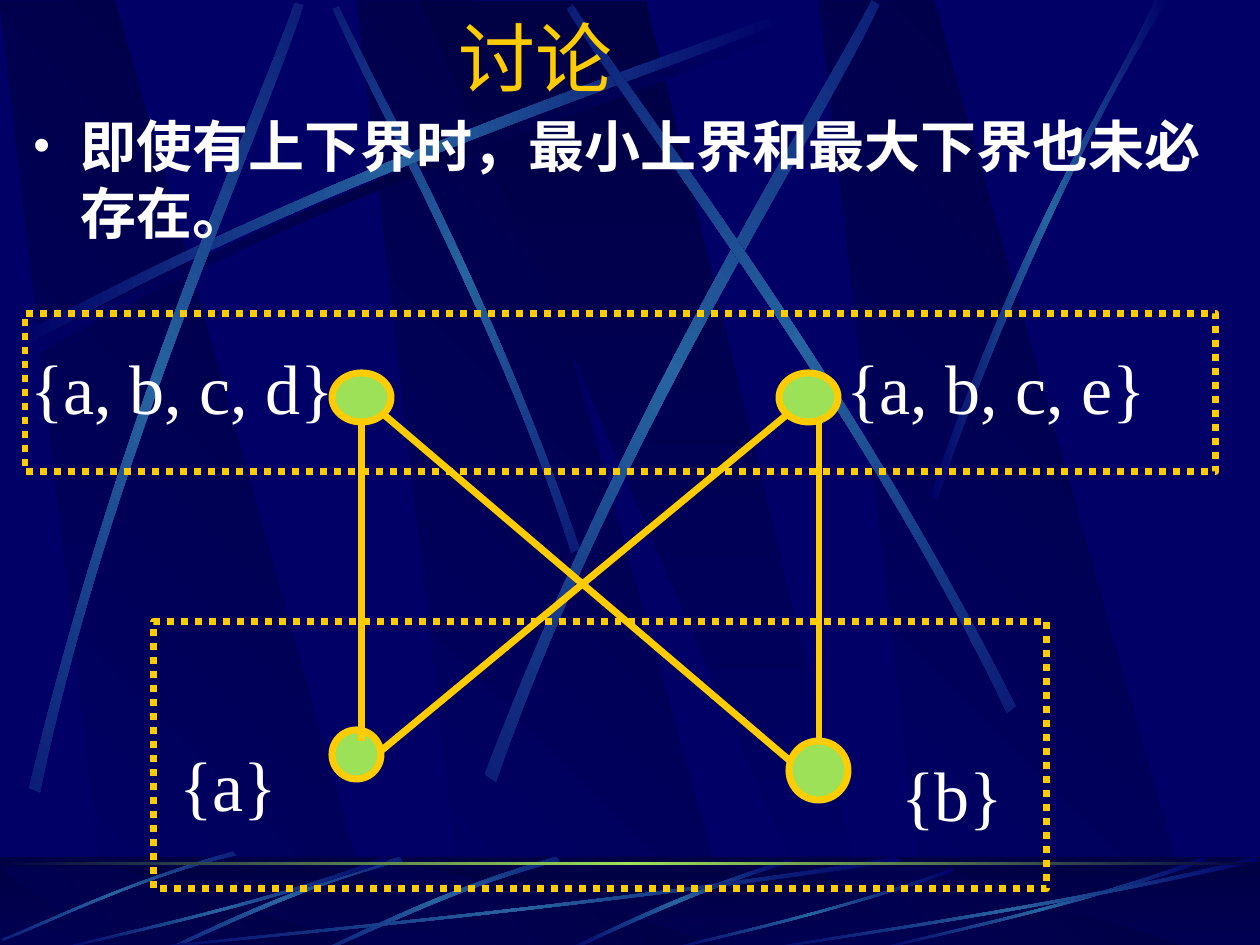
"""Builds a discussion slide: a four-node order diagram over a streaked night-blue backdrop."""
import math
import pptx
import pptx.util
import pptx.dml.color
import pptx.enum.dml
import pptx.enum.shapes
import pptx.enum.text
import pptx.oxml
import pptx.oxml.ns
from dataclasses import dataclass

SCALE = 914400 / 126
WIDTH, HEIGHT = 1260, 945
FLOOR_TOP, FLOOR_BOTTOM = 857, 951
RECTANGLE = pptx.enum.shapes.MSO_SHAPE.RECTANGLE


@dataclass(frozen=True)
class Theme:
    navy: str = "000066"
    night: str = "000044"
    steel: str = "2663A0"
    green: str = "9CE157"
    gold: str = "FFCC00"
    white: str = "FFFFFF"
    title_size: int = 44
    body_size: int = 32
    label_size: int = 40
    stroke: int = 4
    title_font: str = "Montserrat"
    body_font: str = "Arial"
    label_font: str = "Times New Roman"


THEME = Theme()

TITLE = ("讨论", (0, 0, 1071, 113))
BODY = ("即使有上下界时，最小上界和最大下界也未必存在。", (21, 105, 1218, 735))
LABELS = [
    ("{a, b, c, d}", (34, 324, 297, 126)),
    ("{a, b, c, e}", (848, 324, 297, 126)),
    ("{a}", (154, 721, 149, 126)),
    ("{b}", (878, 731, 149, 126)),
]
NODES = [(332, 730, 49, 49), (789, 741, 59, 59), (332, 373, 59, 49), (779, 373, 59, 49)]
EDGES = [(362, 423, 362, 741), (382, 750, 789, 413), (819, 423, 819, 741), (382, 413, 789, 760)]
FRAMES = [(154, 621, 893, 268), (25, 313, 1191, 159)]

SLAB_LEFTS = [357, 0, 819]
SHADOW_CURVE = [(25, 347), (358, 169), (660, 74), (789, 23),
                (793, 30), (665, 87), (320, 190), (29, 359)]
STREAKS = [
    (45, [(580, 549), (493, 295), (381, 97), (339, 6), (333, 9), (372, 100), (501, 325), (572, 553)]),
    (0, [(18, 336), (350, 158), (653, 64), (781, 13), (785, 20), (658, 77), (312, 180), (21, 349)]),
    (311.7, [(29, 788), (117, 421), (248, 132), (295, 3), (304, 5), (261, 137), (108, 464), (40, 793)]),
    (321.6, [(485, 774), (627, 403), (804, 129), (872, 0), (879, 5), (818, 136), (612, 447), (496, 782)]),
    (34.8, [(1016, 706), (844, 369), (650, 120), (573, 5), (567, 9), (639, 127), (863, 410), (1007, 713)]),
    (0, [(930, 496), (1026, 218), (1119, 83), (1155, 0), (1168, 0), (1053, 183), (969, 406), (937, 500)]),
]
FLOOR_STREAKS = [
    (0, [(790, 859), (677, 893), (601, 935), (564, 950), (571, 951), (617, 929), (719, 882), (791, 863)]),
    (314.9, [(557, 857), (447, 888), (362, 932), (323, 949), (324, 951), (363, 936), (460, 886), (559, 861)]),
    (314.9, [(399, 857), (290, 888), (204, 932), (165, 949), (166, 951), (205, 936), (302, 886), (402, 861)]),
    (314.9, [(233, 852), (123, 882), (40, 924), (1, 939), (3, 941), (42, 927), (136, 878), (236, 855)]),
]
SWEEP_SHAPE = [(1, 0.04), (0.57, 0.57), (0.17, 0.85), (0.01, 1),
               (0, 0.99), (0.17, 0.82), (0.62, 0.51), (0.99, 0)]
SWEEPS = [(126, 857, 777), (53, 857, 335), (664, 868, 291), (872, 857, 335), (756, 857, 504)]


def emu(*lengths):
    return [pptx.util.Emu(round(length * SCALE)) for length in lengths]


def rgb(color):
    return pptx.dml.color.RGBColor.from_string(color)


def element(tag, body="", **attributes):
    listed = "".join(f' {name}="{value}"' for name, value in attributes.items())
    namespace = pptx.oxml.ns.nsdecls("a")
    return pptx.oxml.parse_xml(f"<a:{tag} {namespace}{listed}>{body}</a:{tag}>")


def paint_gradient(shape, colors, angle=0):
    last = len(colors) - 1
    stops = "".join(f'<a:gs pos="{100000 * index // last}"><a:srgbClr val="{color}"/></a:gs>'
                    for index, color in enumerate(colors))
    shape.fill.solid()
    solid = shape.element.spPr.find(pptx.oxml.ns.qn("a:solidFill"))
    direction = f'<a:lin ang="{angle * 60000}" scaled="0"/>'
    solid.getparent().replace(solid, element("gradFill", f"<a:gsLst>{stops}</a:gsLst>{direction}"))
    shape.line.fill.background()
    shape.shadow.inherit = False


def add_polygon(page, points, colors, angle=0):
    builder = page.shapes.build_freeform(*points[0], scale=SCALE)
    builder.add_line_segments(points[1:], close=True)
    shape = builder.convert_to_shape()
    paint_gradient(shape, colors, angle)
    return shape


def turn(point, degrees):
    cosine, sine = math.cos(math.radians(degrees)), math.sin(math.radians(degrees))
    return point[0] * cosine - point[1] * sine, point[0] * sine + point[1] * cosine


def add_streak(page, anchors, angle=0, middle=THEME.steel):
    level = [turn(point, -angle) for point in anchors]
    shape = add_polygon(page, level, (THEME.navy, middle, THEME.navy))
    segments = list(shape.element.iter(pptx.oxml.ns.qn("a:lnTo")))
    for first in (0, 4):
        curve = element("cubicBezTo")
        segments[first].addprevious(curve)
        for segment in segments[first:first + 3]:
            curve.append(segment[0])
            segment.getparent().remove(segment)
    center = turn((shape.left + shape.width / 2, shape.top + shape.height / 2), angle)
    shape.left = round(center[0] - shape.width / 2)
    shape.top = round(center[1] - shape.height / 2)
    shape.rotation = angle


def add_slabs(page, top, bottom):
    for left in SLAB_LEFTS:
        points = [(left + 109, bottom), (left + 381, bottom), (left + 115, top), (left, top)]
        add_polygon(page, points, (THEME.navy, THEME.night), 315)
    wedge = [(420, top), (829, bottom), (874, bottom), (646, top)]
    add_polygon(page, wedge, (THEME.night, THEME.navy), 90)


def add_shape(page, kind, place):
    shape = page.shapes.add_shape(kind, *emu(*place))
    shape.shadow.inherit = False
    return shape


def draw_backdrop(page):
    floor_place = (0, FLOOR_TOP, WIDTH, FLOOR_BOTTOM - FLOOR_TOP)
    add_slabs(page, 1, 947)
    add_streak(page, SHADOW_CURVE, middle=THEME.night)
    for angle, anchors in STREAKS:
        add_streak(page, anchors, angle)
    paint_gradient(add_shape(page, RECTANGLE, floor_place), (THEME.night, THEME.navy), 90)
    add_slabs(page, 867, FLOOR_BOTTOM)
    veil = add_shape(page, RECTANGLE, floor_place)
    veil.fill.solid()
    veil.fill.fore_color.rgb = rgb(THEME.night)
    veil.line.fill.background()
    color = veil.element.spPr.find(".//" + pptx.oxml.ns.qn("a:srgbClr"))
    color.append(element("alpha", val=50000))
    for angle, anchors in FLOOR_STREAKS:
        add_streak(page, anchors, angle)
    for left, top, width in SWEEPS:
        add_streak(page, [(left + x * width, top + y * (FLOOR_BOTTOM - top)) for x, y in SWEEP_SHAPE])
    horizon = add_shape(page, RECTANGLE, (0, 862, WIDTH, 3))
    paint_gradient(horizon, (THEME.night, THEME.green, THEME.night))


def write(box, text, font, size, color, centered=True, wrap=True):
    frame = box.text_frame
    frame.word_wrap = wrap
    frame.text = text
    para = frame.paragraphs[0]
    if centered:
        frame.vertical_anchor = pptx.enum.text.MSO_ANCHOR.MIDDLE
        para.alignment = pptx.enum.text.PP_ALIGN.CENTER
    span = para.runs[0]
    span.font.name, span.font.size = font, pptx.util.Pt(size)
    span.font.color.rgb = rgb(color)
    return para


def add_bullet(para):
    properties = para._p.get_or_add_pPr()
    indent = emu(47)[0]
    properties.set("marL", str(indent))
    properties.set("indent", str(-indent))
    properties.append(element("buClr", f'<a:srgbClr val="{THEME.white}"/>'))
    properties.append(element("buSzPct", val=85000))
    properties.append(element("buFont", typeface=THEME.body_font))
    properties.append(element("buChar", char="•"))


def stroke(line):
    line.color.rgb = rgb(THEME.gold)
    line.width = pptx.util.Pt(THEME.stroke)


def draw_diagram(page):
    for place in NODES:
        node = add_shape(page, pptx.enum.shapes.MSO_SHAPE.OVAL, place)
        node.fill.solid()
        node.fill.fore_color.rgb = rgb(THEME.green)
        stroke(node.line)
    for ends in EDGES:
        edge = page.shapes.add_connector(pptx.enum.shapes.MSO_CONNECTOR.STRAIGHT, *emu(*ends))
        stroke(edge.line)
        edge.element.spPr.append(element("effectLst"))
    for text, place in LABELS:
        label = add_shape(page, RECTANGLE, place)
        label.fill.background()
        label.line.fill.background()
        write(label, text, THEME.label_font, THEME.label_size, THEME.white, wrap=False)
    for place in FRAMES:
        frame = add_shape(page, RECTANGLE, place)
        frame.fill.background()
        stroke(frame.line)
        frame.line.dash_style = pptx.enum.dml.MSO_LINE.ROUND_DOT


def main():
    deck = pptx.Presentation()
    deck.slide_width, deck.slide_height = emu(WIDTH, HEIGHT)
    page = deck.slides.add_slide(deck.slide_layouts[6])
    page.background.fill.solid()
    page.background.fill.fore_color.rgb = rgb(THEME.navy)
    draw_backdrop(page)
    text, place = TITLE
    title = page.shapes.add_textbox(*emu(*place))
    write(title, text, THEME.title_font, THEME.title_size, THEME.gold)
    text, place = BODY
    body = page.shapes.add_textbox(*emu(*place))
    para = write(body, text, THEME.body_font, THEME.body_size, THEME.white, centered=False)
    add_bullet(para)
    para.runs[0].font.bold = True
    draw_diagram(page)
    deck.save("out.pptx")


if __name__ == "__main__":
    main()
